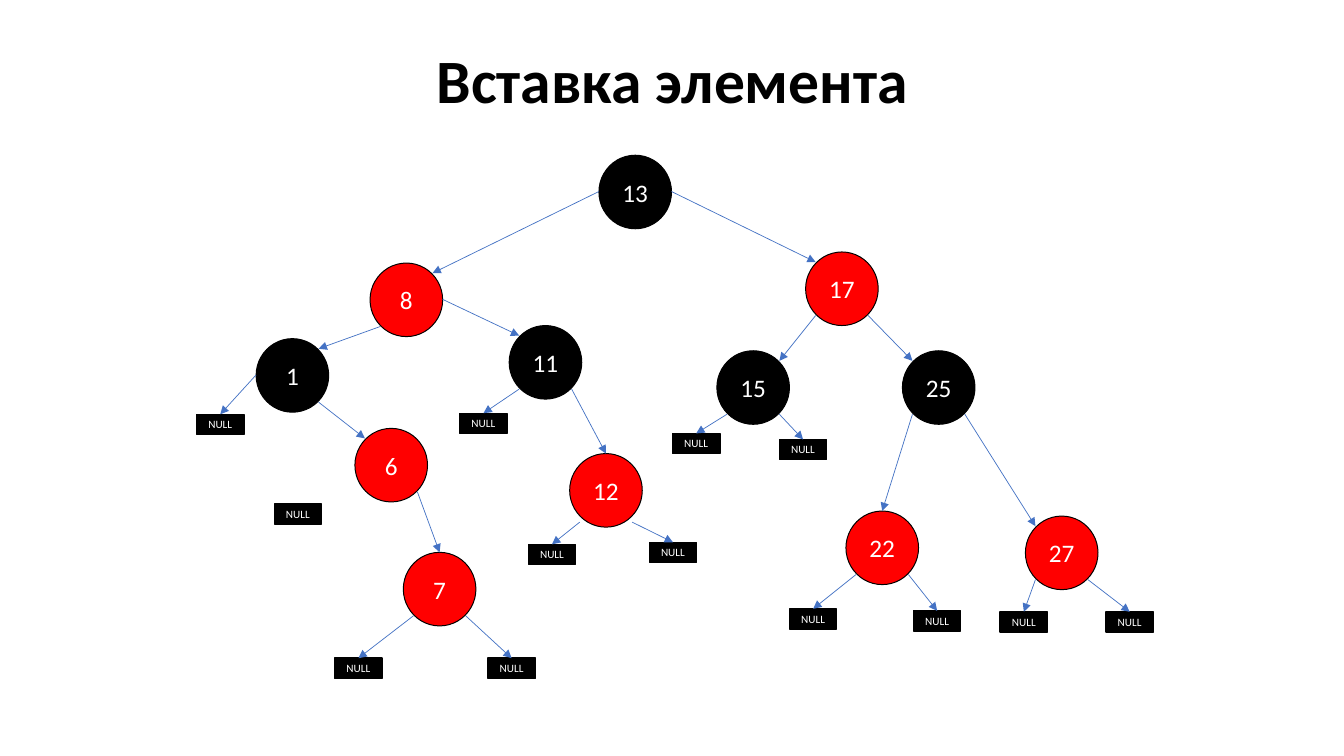
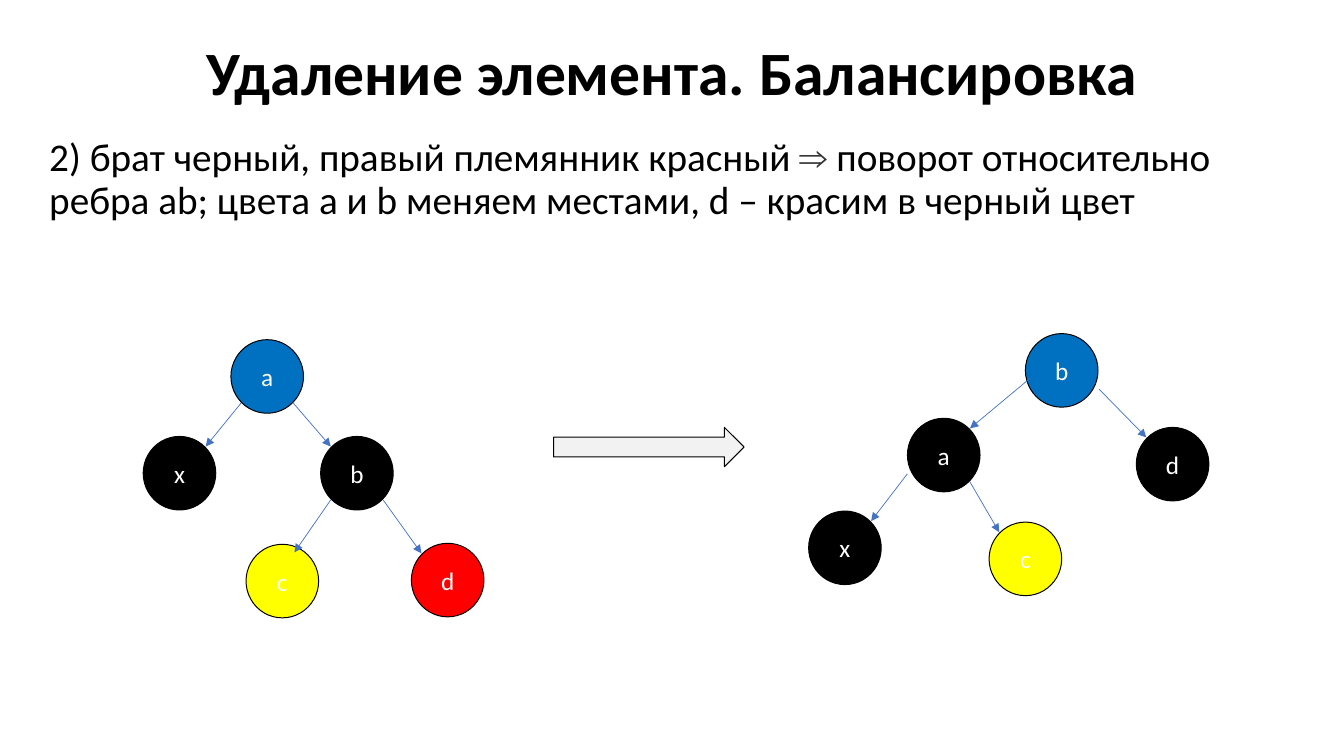
import lxml.etree
import pptx
import pptx.util
import pptx.oxml.ns
import pptx.dml.color
import pptx.enum.shapes
import pptx.enum.text

Inches = pptx.util.Inches
Pt = pptx.util.Pt
RGBColor = pptx.dml.color.RGBColor
SHAPE = pptx.enum.shapes.MSO_SHAPE
ALIGN = pptx.enum.text.PP_ALIGN
ANCHOR = pptx.enum.text.MSO_ANCHOR
qn = pptx.oxml.ns.qn

BLACK = RGBColor(0, 0, 0)
WHITE = RGBColor(255, 255, 255)
RED = RGBColor(255, 0, 0)
BLUE = RGBColor(0, 112, 192)
YELLOW = RGBColor(255, 255, 0)
EDGE = RGBColor(0x44, 0x72, 0xC4)
GREY = RGBColor(0x33, 0x33, 0x33)

FONT = "Calibri"
NODE = (0.72, 0.73)
LEAF = (0.47, 0.2)
PORTS = {
    "n": (0.36, 0), "w": (0, 0.36), "e": (0.72, 0.36),
    "nw": (0.1, 0.1), "ne": (0.62, 0.1),
    "sw": (0.1, 0.63), "se": (0.62, 0.63),
}

INSERT = {
    "title": ("Вставка элемента", 0.1),
    "nodes": {
        "13": (5.94, 1.54, BLACK), "8": (3.67, 2.61, RED),
        "17": (7.99, 2.5, RED), "1": (2.54, 3.36, BLACK),
        "11": (5.05, 3.23, BLACK), "15": (7.11, 3.48, BLACK),
        "25": (8.95, 3.48, BLACK), "6": (3.52, 4.25, RED),
        "12": (5.65, 4.5, RED), "22": (8.39, 5.07, RED),
        "27": (10.17, 5.12, RED), "7": (4, 5.48, RED),
    },
    "edges": [
        ("13", "w", "8", "ne"), ("13", "e", "17", "nw"),
        ("17", "sw", "15", "ne"), ("17", "se", "25", "nw"),
        ("25", "sw", "22", "n"), ("25", "se", "27", "nw"),
        ("8", "sw", "1", "ne"), ("8", "e", "11", "nw"),
        ("1", "se", "6", "nw"), ("6", "se", "7", "n"),
        ("11", "se", "12", "n"),
    ],
    "leaves": [
        (1.95, 4.11, "1", "w"), (2.72, 5, None, None),
        (3.32, 6.53, "7", "sw"), (4.84, 6.53, "7", "se"),
        (4.56, 4.1, "11", "sw"),
        (5.24, 5.4, "12", (0.1, 0.68)), (6.44, 5.38, "12", (0.62, 0.68)),
        (6.67, 4.3, "15", "sw"), (7.73, 4.36, "15", "se"),
        (7.83, 6.04, "22", "sw"), (9.06, 6.06, "22", "se"),
        (9.92, 6.07, "27", "sw"), (10.97, 6.07, "27", "se"),
    ],
}

BEFORE = {
    "nodes": {
        "a": (2.29, 3.37, BLUE), "x": (1.42, 4.33, BLACK),
        "b": (3.18, 4.33, BLACK), "c": (2.44, 5.4, YELLOW),
        "d": (4.08, 5.39, RED),
    },
    "edges": [
        ("a", "sw", "x", "ne"), ("a", "se", "b", "nw"),
        ("b", "sw", "c", (0.48, 0.08)), ("b", "se", "d", "nw"),
    ],
}
AFTER = {
    "nodes": {
        "b": (10.17, 3.31, BLUE), "a": (9, 4.15, BLACK),
        "x": (8.02, 5.07, BLACK), "c": (9.81, 5.18, YELLOW),
        "d": (11.27, 4.24, BLACK),
    },
    "edges": [
        ("b", (0.05, 0.44), "a", "ne"), ("a", (0, 0.55), "x", "ne"),
        ("a", "se", "c", "nw"), ("b", (0.73, 0.55), "d", "nw"),
    ],
}
REMOVE = ("Удаление элемента. Балансировка", 0.02)
RULE = [
    ("2) брат черный, правый племянник красный ", FONT, BLACK, False),
    ("⇒", "Arial", GREY, True),
    (" поворот относительно ребра ab; цвета a и b меняем местами, "
     "d – красим в черный цвет", FONT, BLACK, False),
]


def style(run, size, color, bold=False, font=FONT):
    run.font.name = font
    run.font.size = Pt(size)
    run.font.bold = bold
    run.font.color.rgb = color


def add_text(slide, box, runs, size, align, anchor):
    frame = slide.shapes.add_textbox(*map(Inches, box)).text_frame
    frame.word_wrap = True
    frame.vertical_anchor = anchor
    para = frame.paragraphs[0]
    para.alignment = align
    para.line_spacing = 0.9
    for text, font, color, bold in runs:
        run = para.add_run()
        run.text = text
        style(run, size, color, bold, font)


def add_title(slide, text, top):
    add_text(slide, (0.92, top, 11.5, 1.45), [(text, FONT, BLACK, True)],
             44, ALIGN.CENTER, ANCHOR.MIDDLE)


def add_shape(slide, kind, box, fill, width=0.71, text="", size=18):
    shape = slide.shapes.add_shape(kind, *map(Inches, box))
    shape.shadow.inherit = False
    shape.fill.solid()
    shape.fill.fore_color.rgb = fill
    shape.line.color.rgb = BLACK
    shape.line.width = Pt(width)
    if text:
        frame = shape.text_frame
        frame.text = text
        frame.word_wrap = False
        frame.vertical_anchor = ANCHOR.MIDDLE
        para = frame.paragraphs[0]
        para.alignment = ALIGN.CENTER
        style(para.runs[0], size, WHITE)
    return shape


def add_edge(slide, start, end):
    line = slide.shapes.add_connector(
        pptx.enum.shapes.MSO_CONNECTOR.STRAIGHT, *map(Inches, start + end))
    line.line.color.rgb = EDGE
    line.line.width = Pt(0.5)
    props = line.element.spPr
    lxml.etree.SubElement(props.find(qn("a:ln")), qn("a:tailEnd"), type="triangle")
    lxml.etree.SubElement(props, qn("a:effectLst"))
    return line


def add_tree(slide, tree):
    nodes = tree["nodes"]

    def port(name, side):
        left, top, _ = nodes[name]
        dx, dy = PORTS.get(side, side)
        return left + dx, top + dy

    for name, (left, top, color) in nodes.items():
        add_shape(slide, SHAPE.OVAL, (left, top, *NODE), color, text=name)
    for head, out, child, into in tree["edges"]:
        add_edge(slide, port(head, out), port(child, into))
    for left, top, head, out in tree.get("leaves", []):
        leaf = add_shape(slide, SHAPE.RECTANGLE, (left, top, *LEAF), BLACK,
                         1, "NULL", 8)
        if head:
            line = add_edge(slide, port(head, out), (left + LEAF[0] / 2, top))
            line.end_connect(leaf, 0)


def main():
    deck = pptx.Presentation()
    deck.slide_width = Inches(13.33)
    deck.slide_height = Inches(7.5)
    blank = deck.slide_layouts[6]

    slide = deck.slides.add_slide(blank)
    add_title(slide, *INSERT["title"])
    add_tree(slide, INSERT)

    slide = deck.slides.add_slide(blank)
    add_text(slide, (0.39, 1.32, 12.03, 1.09), RULE, 28, ALIGN.LEFT, ANCHOR.TOP)
    add_title(slide, *REMOVE)
    add_tree(slide, BEFORE)
    arrow = add_shape(slide, SHAPE.RIGHT_ARROW, (5.49, 4.24, 1.89, 0.39), BLACK)
    tint = arrow.element.spPr.find(qn("a:solidFill")).find(qn("a:srgbClr"))
    lxml.etree.SubElement(tint, qn("a:alpha"), val="5000")
    add_tree(slide, AFTER)

    deck.save("out.pptx")


if __name__ == "__main__":
    main()
